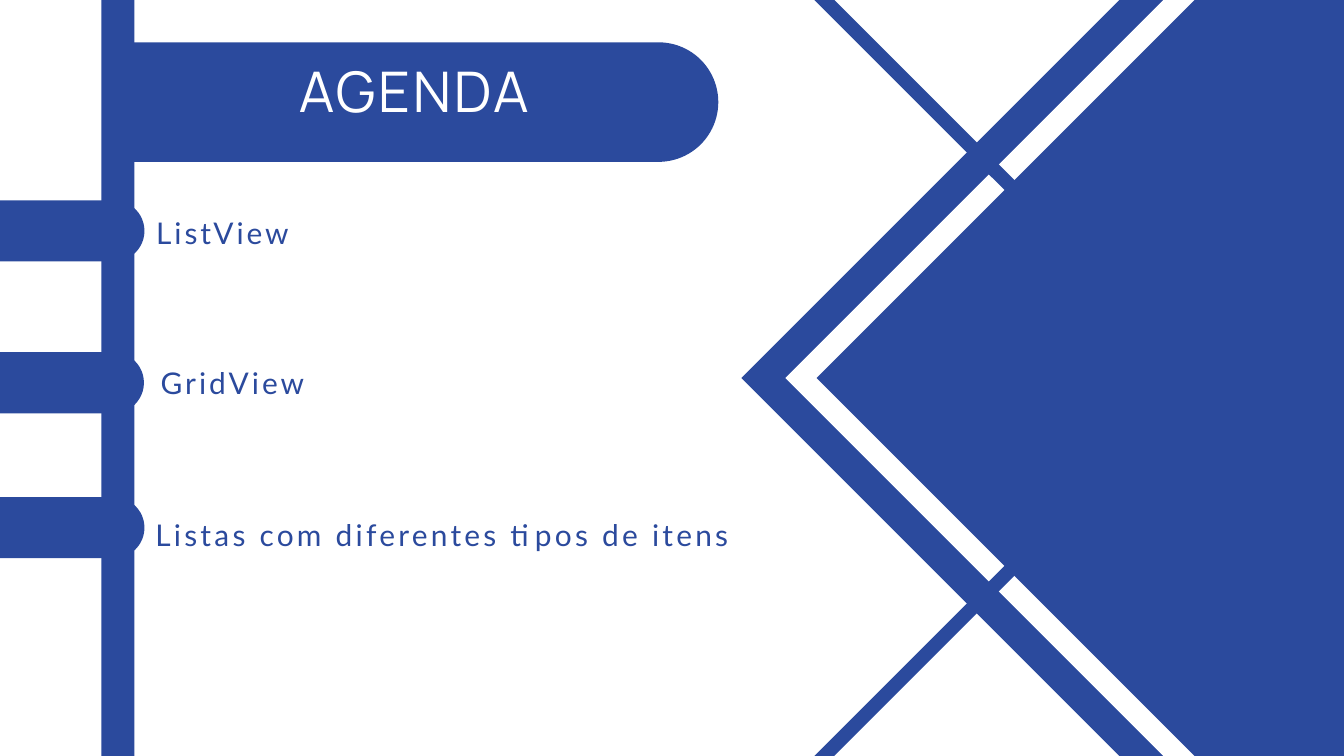
from lxml import etree
from pptx import Presentation
from pptx.dml.color import RGBColor
from pptx.enum.shapes import MSO_SHAPE
from pptx.enum.text import MSO_ANCHOR, MSO_AUTO_SIZE, PP_ALIGN
from pptx.oxml.ns import qn
from pptx.util import Cm, Pt

RECT = MSO_SHAPE.RECTANGLE
FRAME = MSO_SHAPE.FRAME
ROUND = MSO_SHAPE.ROUND_2_SAME_RECTANGLE
TOP = MSO_ANCHOR.TOP
FIXED = MSO_AUTO_SIZE.NONE
LEFT = PP_ALIGN.LEFT
CENTER = PP_ALIGN.CENTER

WIDE, HIGH = 50.8, 28.58
MID = HIGH / 2
BLUE, WHITE = "2B4A9D", "FFFFFF"

TABS = [(0, 8.73), (-0.02, 14.47), (0, 19.95)]
ITEMS = [
    ("ListView", 0.03, 0, 3.2),
    ("GridView", 0.2, 115.8, 3.2),
    ("Listas com diferentes tipos de itens", 0, 117.9, 3.5),
]


def color(code):
    return RGBColor.from_string(code)


def add_block(slide, kind, x, y, w, h, code, turn=0):
    shape = slide.shapes.add_shape(kind, Cm(x - w / 2), Cm(y - h / 2), Cm(w), Cm(h))
    shape.rotation = turn
    shape.shadow.inherit = False
    shape.fill.solid()
    shape.fill.fore_color.rgb = color(code)
    shape.line.fill.background()
    return shape


def add_ring(slide, x, y, side, thick, code):
    ring = add_block(slide, FRAME, x, y, side, side, code, 45)
    ring.adjustments[0] = thick / side


def add_tab(slide, left, y, length, thick):
    tab = add_block(slide, ROUND, left + length / 2, y, thick, length, BLUE, 90)
    tab.adjustments[0] = 0.5


def place(slide, holder, x, y, w, h):
    holder.left, holder.top, holder.width, holder.height = Cm(x), Cm(y), Cm(w), Cm(h)
    slide.shapes._spTree.append(holder._element)
    frame = holder.text_frame
    frame.word_wrap = True
    frame.auto_size = FIXED
    frame.vertical_anchor = TOP
    frame.margin_left = frame.margin_right = 0
    frame.margin_top = frame.margin_bottom = 0
    return frame


def write(para, text, font, size, code, track, pitch, align, before=0, indent=0):
    para.alignment = align
    para.line_spacing = Pt(pitch)
    para.space_before = Pt(before)
    para.space_after = Pt(0)
    props = para._p.get_or_add_pPr()
    props.set("marL", str(Cm(indent)))
    props.set("indent", "0")
    etree.SubElement(props, qn("a:buNone"))
    run = para.add_run()
    run.text = text
    run.font.name = font
    run.font.size = Pt(size)
    run.font.color.rgb = color(code)
    run._r.get_or_add_rPr().set("spc", str(round(track * 100)))


def add_title(slide):
    frame = place(slide, slide.shapes.title, 5.89, 2.44, 19.51, 2.49)
    write(frame.paragraphs[0], "AGENDA", "Manrope", 60, WHITE, 3, 63, CENTER)


def add_list(slide):
    frame = place(slide, slide.placeholders[1], 5.87, 7.9, 23.16, 12.85)
    for i, (text, indent, before, track) in enumerate(ITEMS):
        para = frame.add_paragraph() if i else frame.paragraphs[0]
        write(para, text, "Lato", 32, BLUE, track, 44.8, LEFT, before, indent)


def main():
    deck = Presentation()
    deck.slide_width, deck.slide_height = Cm(WIDE), Cm(HIGH)
    slide = deck.slides.add_slide(deck.slide_layouts[1])
    add_block(slide, RECT, 4.46, MID, 1.25, HIGH, BLUE)
    add_block(slide, RECT, 48.01, MID, 28.27, 28.27, BLUE, 45)
    add_ring(slide, 48.13, MID, 26.09, 0.83, WHITE)
    for side in (1, -1):
        add_ring(slide, 40.57, MID + side * 16.61, 17.12, 0.53, BLUE)
    add_tab(slide, 5.05, 3.86, 22.1, 4.52)
    for left, y in TABS:
        add_tab(slide, left, y, 5.46, 2.31)
    add_title(slide)
    add_list(slide)
    deck.save("out.pptx")


if __name__ == "__main__":
    main()
